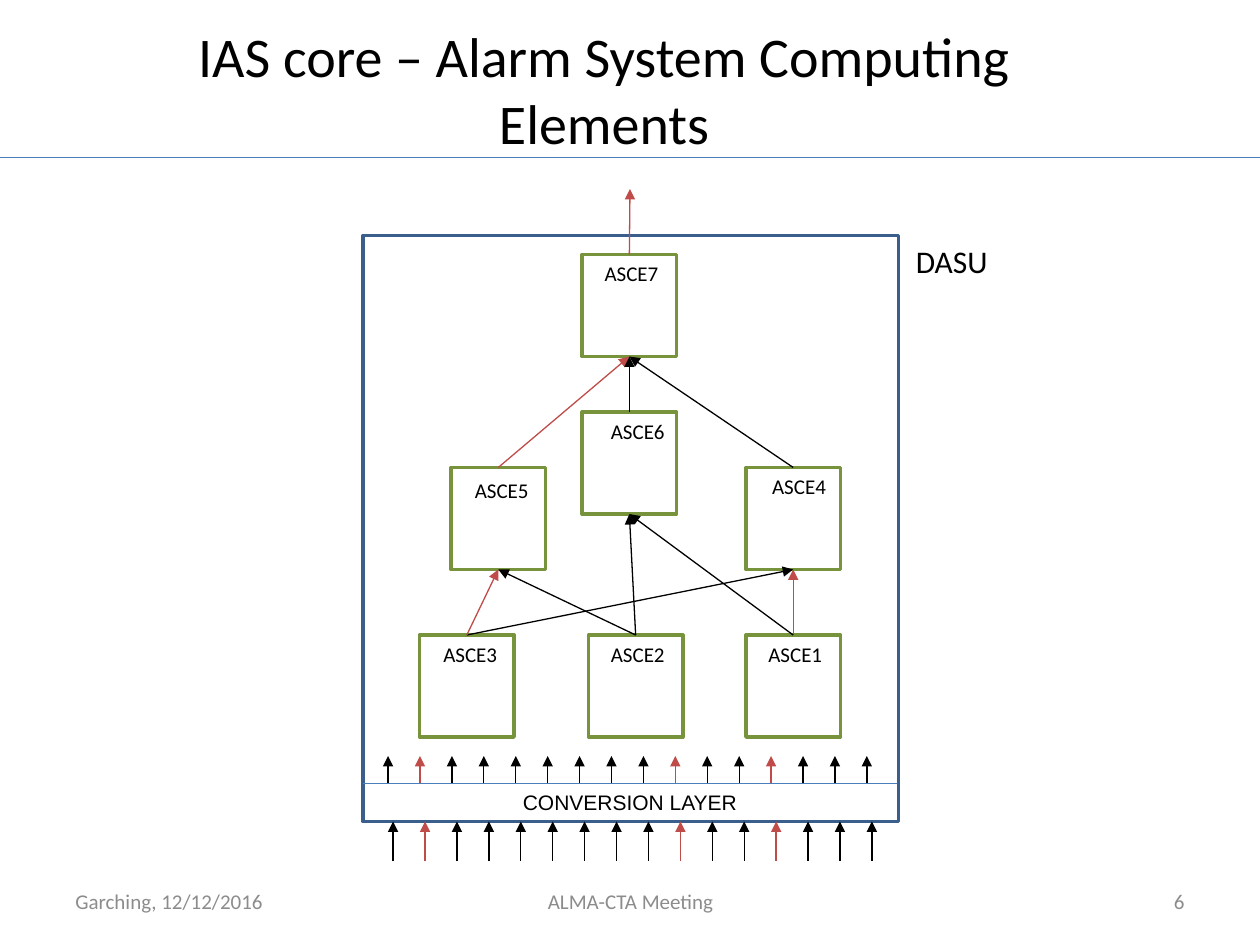
from pptx import Presentation
from pptx.dml.color import RGBColor
from pptx.enum.shapes import MSO_CONNECTOR, MSO_SHAPE
from pptx.enum.text import MSO_ANCHOR, PP_ALIGN
from pptx.oxml.ns import qn
from pptx.util import Inches, Pt
from lxml import etree

STRAIGHT = MSO_CONNECTOR.STRAIGHT
RECT = MSO_SHAPE.RECTANGLE
TOP, MIDDLE = MSO_ANCHOR.TOP, MSO_ANCHOR.MIDDLE
LEFT, CENTER, RIGHT = PP_ALIGN.LEFT, PP_ALIGN.CENTER, PP_ALIGN.RIGHT

BLACK = RGBColor(0x00, 0x00, 0x00)
RED = RGBColor(0xBF, 0x4C, 0x48)
BLUE = RGBColor(0x4B, 0x7E, 0xBC)
NAVY = RGBColor(0x3A, 0x5F, 0x8C)
GREEN = RGBColor(0x77, 0x93, 0x3C)
GRAY = RGBColor(0x8C, 0x8C, 0x8C)

prs = Presentation()
prs.slide_width = Inches(10)
prs.slide_height = Inches(7.5)
s = prs.slides.add_slide(prs.slide_layouts[5])


def add_line(x1, y1, x2, y2, color, arrow=True):
    line = s.shapes.add_connector(STRAIGHT, Inches(x1), Inches(y1), Inches(x2), Inches(y2))
    line.line.color.rgb = color
    line.line.width = Pt(0.75)
    if arrow:
        etree.SubElement(line.line._get_or_add_ln(), qn("a:tailEnd"), type="triangle")
    etree.SubElement(line._element.spPr, qn("a:effectLst"))
    return line


def add_text(text, x, y, w, h, size=12, color=BLACK, font="Calibri",
             align=LEFT, anchor=TOP, wrap=False):
    box = s.shapes.add_textbox(Inches(x), Inches(y), Inches(w), Inches(h))
    tf = box.text_frame
    tf.word_wrap = wrap
    tf.vertical_anchor = anchor
    tf.text = text
    p = tf.paragraphs[0]
    p.alignment = align
    r = p.runs[0]
    r.font.size = Pt(size)
    r.font.name = font
    r.font.color.rgb = color


add_line(0, 1.25, 10, 1.25, BLUE, arrow=False)

title = s.shapes.title
title.left, title.top = Inches(0.92), Inches(0.08)
title.width, title.height = Inches(7.75), Inches(1.25)
tf = title.text_frame
tf.text = "IAS core – Alarm System Computing Elements"
tf.vertical_anchor = MIDDLE
p = tf.paragraphs[0]
p.alignment = CENTER
r = p.runs[0]
r.font.size = Pt(32)
r.font.name = "Calibri"
r.font.color.rgb = BLACK

ELEMENTS = {
    "DASU": (2.88, 1.87, 4.25, 4.65, NAVY),
    "ASCE7": (4.62, 2.02, 0.75, 0.81, GREEN),
    "ASCE3": (3.33, 5.04, 0.75, 0.81, GREEN),
    "ASCE2": (4.67, 5.04, 0.75, 0.81, GREEN),
    "ASCE1": (5.92, 5.04, 0.75, 0.81, GREEN),
    "ASCE4": (5.92, 3.71, 0.75, 0.81, GREEN),
    "ASCE5": (3.58, 3.71, 0.75, 0.81, GREEN),
    "ASCE6": (4.62, 3.27, 0.75, 0.81, GREEN),
}
boxes = {}
for name, (x, y, w, h, color) in ELEMENTS.items():
    box = s.shapes.add_shape(RECT, Inches(x), Inches(y), Inches(w), Inches(h))
    box.shadow.inherit = False
    box.fill.background()
    box.line.color.rgb = color
    box.line.width = Pt(2)
    boxes[name] = box

LINKS = [
    ("ASCE5", "ASCE7", RED),
    ("ASCE6", "ASCE7", BLACK),
    ("ASCE1", "ASCE4", RED),
    ("ASCE1", "ASCE6", BLACK),
    ("ASCE3", "ASCE4", BLACK),
    ("ASCE3", "ASCE5", RED),
    ("ASCE4", "ASCE7", BLACK),
    ("ASCE2", "ASCE6", BLACK),
    ("ASCE2", "ASCE5", BLACK),
]
for source, target, color in LINKS:
    link = add_line(0, 0, 0, 0, color)
    link.begin_connect(boxes[source], 0)
    link.end_connect(boxes[target], 2)

output = add_line(5, 2.02, 5, 1.5, RED)
output.begin_connect(boxes["ASCE7"], 0)

ALARM_INPUTS = (1, 9, 12)
for x, start, end in ((3.12, 6.83, 6.52), (3.08, 6.22, 6)):
    for i in range(16):
        color = RED if i in ALARM_INPUTS else BLACK
        x_i = x + i * 3.8 / 15
        add_line(x_i, start, x_i, end, color)

add_line(2.88, 6.22, 7.12, 6.22, BLUE, arrow=False)
add_text("CONVERSION LAYER", 4.04, 6.22, 1.92, 0.27, font="Arial", align=CENTER)
add_text("DASU", 7.17, 1.87, 0.78, 0.36, size=18)

LABELS = [
    ("ASCE1", 6, 5.04),
    ("ASCE2", 4.75, 5.04),
    ("ASCE3", 3.42, 5.04),
    ("ASCE4", 6.03, 3.71),
    ("ASCE5", 3.67, 3.74),
    ("ASCE6", 4.75, 3.27),
    ("ASCE7", 4.7, 2.02),
]
for name, x, y in LABELS:
    add_text(name, x, y, 0.63, 0.27)

FOOTER = [
    ("Garching, 12/12/2016", 0.5, 2.33, LEFT),
    ("ALMA-CTA Meeting", 3.42, 3.17, CENTER),
    ("6", 7.17, 2.33, RIGHT),
]
for text, x, w, align in FOOTER:
    add_text(text, x, 6.95, w, 0.4, color=GRAY, align=align, anchor=MIDDLE, wrap=True)

prs.save("out.pptx")
